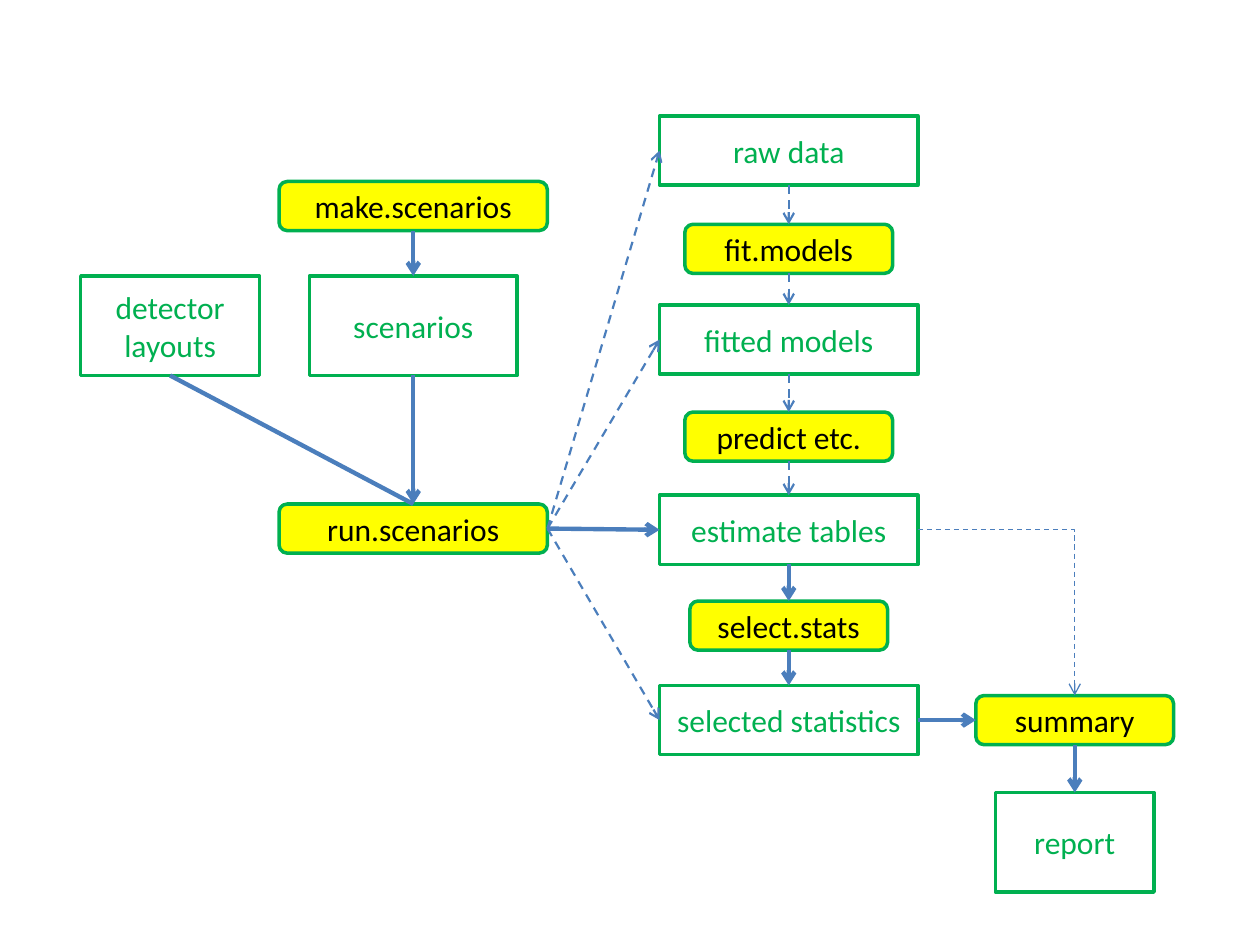
from pptx import Presentation
from pptx import util as u
from pptx.dml.color import RGBColor
from pptx.enum import dml, shapes, text
from pptx.oxml.ns import qn
from lxml import etree

THEME = {
    "font": "Calibri", "size": 18, "outline": 2,
    "green": "00B050", "yellow": "FFFF00", "black": "000000", "blue": "4B7EBC",
    "main": 2.5, "optional": 1.25, "shortcut": 0.75,
}

COLUMN_CENTRES = {"layouts": 1.35, "scenarios": 3.28, "results": 6.26, "report": 8.53}
FUNCTION_HEIGHT = 0.39

# label, column, top, width, height
DATA = [
    ("detector\nlayouts", "layouts", 2.19, 1.42, 0.79),
    ("scenarios", "scenarios", 2.19, 1.65, 0.79),
    ("raw data", "results", 0.92, 2.05, 0.55),
    ("fitted models", "results", 2.42, 2.05, 0.55),
    ("estimate tables", "results", 3.93, 2.05, 0.55),
    ("selected statistics", "results", 5.44, 2.05, 0.55),
    ("report", "report", 6.29, 1.26, 0.79),
]
# label, column, top, width
FUNCTIONS = [
    ("make.scenarios", "scenarios", 1.44, 2.13),
    ("run.scenarios", "scenarios", 4.0, 2.13),
    ("fit.models", "results", 1.78, 1.65),
    ("predict etc.", "results", 3.27, 1.65),
    ("select.stats", "results", 4.77, 1.57),
    ("summary", "report", 5.52, 1.57),
]

TOP, LEFT, BOTTOM, RIGHT = range(4)
DOWN, ACROSS, TURN = (BOTTOM, TOP), (RIGHT, LEFT), (RIGHT, TOP)
# start, end, sides, weight
FLOWS = [
    ("make.scenarios", "scenarios", DOWN, "main"),
    ("scenarios", "run.scenarios", DOWN, "main"),
    ("detector\nlayouts", "run.scenarios", DOWN, "main"),
    ("run.scenarios", "raw data", ACROSS, "optional"),
    ("run.scenarios", "fitted models", ACROSS, "optional"),
    ("run.scenarios", "estimate tables", ACROSS, "main"),
    ("run.scenarios", "selected statistics", ACROSS, "optional"),
    ("raw data", "fit.models", DOWN, "optional"),
    ("fit.models", "fitted models", DOWN, "optional"),
    ("fitted models", "predict etc.", DOWN, "optional"),
    ("predict etc.", "estimate tables", DOWN, "optional"),
    ("estimate tables", "select.stats", DOWN, "main"),
    ("select.stats", "selected statistics", DOWN, "main"),
    ("selected statistics", "summary", ACROSS, "main"),
    ("estimate tables", "summary", TURN, "shortcut"),
    ("summary", "report", DOWN, "main"),
]
HEADLESS = {"detector\nlayouts"}


def colour(name):
    return RGBColor.from_string(THEME[name])


def write(frame, label, *, ink, size=THEME["size"], align=text.PP_ALIGN.CENTER):
    frame.word_wrap = True
    frame.vertical_anchor = text.MSO_ANCHOR.MIDDLE
    frame.text = label
    for paragraph in frame.paragraphs:
        paragraph.alignment = align
        for run in paragraph.runs:
            run.font.name = THEME["font"]
            run.font.size = u.Pt(size)
            run.font.color.rgb = colour(ink)


def add_step(slide, label, column, top, width, height, *, preset, ink, fill=None):
    left = COLUMN_CENTRES[column] - width / 2
    step = slide.shapes.add_shape(preset, *map(u.Inches, (left, top, width, height)))
    step.shadow.inherit = False
    if fill:
        step.fill.solid()
        step.fill.fore_color.rgb = colour(fill)
    else:
        step.fill.background()
    step.line.color.rgb = colour("green")
    step.line.width = u.Pt(THEME["outline"])
    write(step.text_frame, label, ink=ink)
    return step


def add_flow(slide, start, end, sides, weight, head):
    kind = shapes.MSO_CONNECTOR.ELBOW if sides == TURN else shapes.MSO_CONNECTOR.STRAIGHT
    flow = slide.shapes.add_connector(kind, 0, 0, 0, 0)
    flow.begin_connect(start, sides[0])
    flow.end_connect(end, sides[1])
    flow.line.color.rgb = colour("blue")
    flow.line.width = u.Pt(THEME[weight])
    if weight != "main":
        flow.line.dash_style = dml.MSO_LINE.DASH
    properties = flow._element.spPr
    if sides == TURN:
        properties.find(qn("a:prstGeom")).set("prst", "bentConnector2")
    if head:
        etree.SubElement(properties.find(qn("a:ln")), qn("a:tailEnd"), type="arrow")
    etree.SubElement(properties, qn("a:effectLst"))


def main():
    deck = Presentation()
    deck.slide_width, deck.slide_height = u.Inches(10), u.Inches(7.5)
    slide = deck.slides.add_slide(deck.slide_layouts.get_by_name("Blank"))

    steps = {}
    for label, *place in DATA:
        steps[label] = add_step(slide, label, *place,
                                preset=shapes.MSO_SHAPE.RECTANGLE, ink="green")
    for label, *place in FUNCTIONS:
        steps[label] = add_step(slide, label, *place, FUNCTION_HEIGHT,
                                preset=shapes.MSO_SHAPE.ROUNDED_RECTANGLE,
                                ink="black", fill="yellow")
    for start, end, sides, weight in FLOWS:
        add_flow(slide, steps[start], steps[end], sides, weight, start not in HEADLESS)

    deck.save("out.pptx")


if __name__ == "__main__":
    main()
